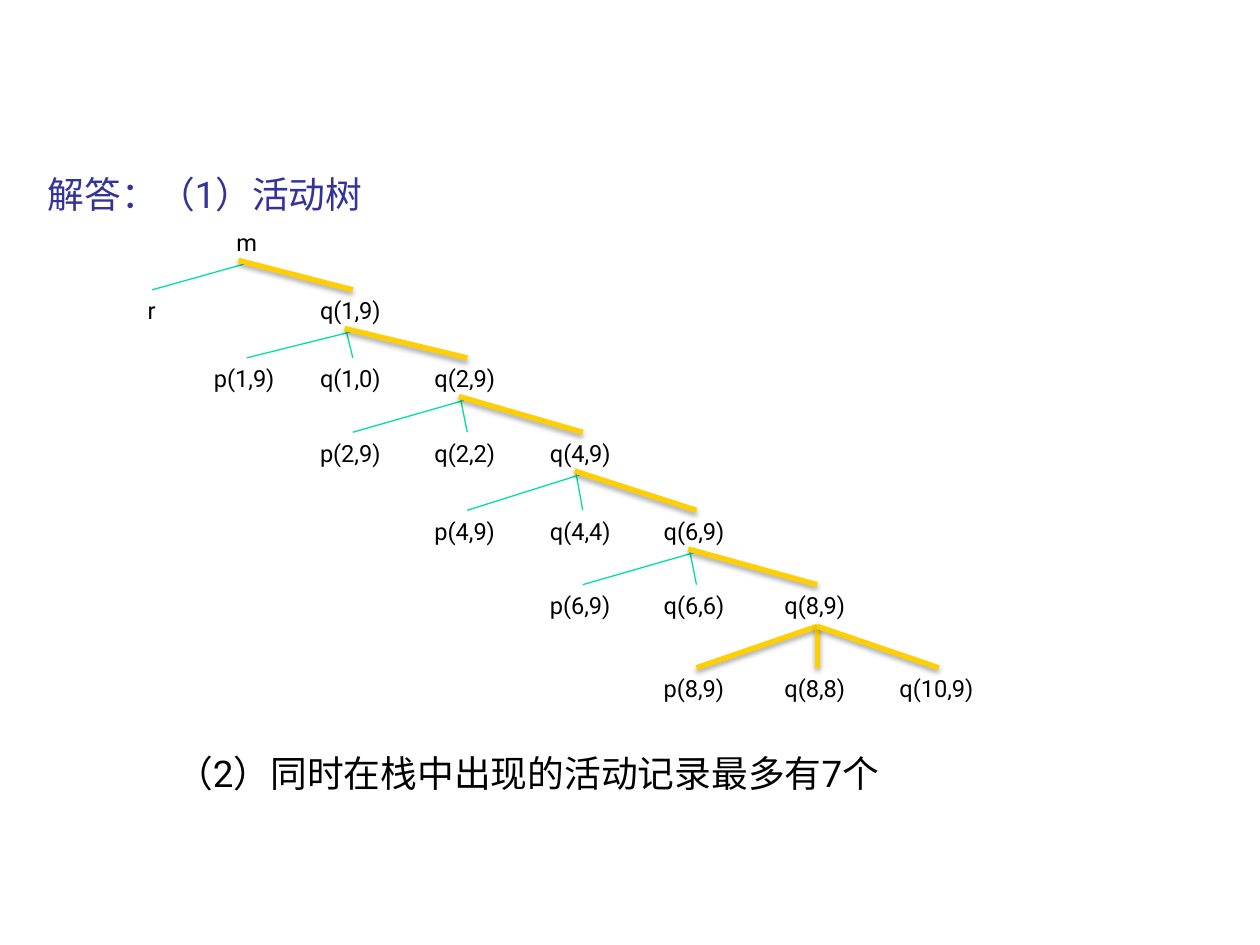
import pptx
import pptx.util
import pptx.dml.color
import pptx.enum.shapes
import pptx.enum.text
import pptx.oxml

Pt = pptx.util.Pt
RGB = pptx.dml.color.RGBColor
Anchor = pptx.enum.text.MSO_ANCHOR
Fit = pptx.enum.text.MSO_AUTO_SIZE

BLACK = RGB(0x00, 0x00, 0x00)
NAVY = RGB(0x33, 0x33, 0x99)
GREEN = RGB(0x00, 0xDF, 0xA4)
GOLD = RGB(0xFF, 0xCF, 0x01)

SHADOW = (
    '<a:outerShdw blurRad="39400" dist="22900" dir="5400000" rotWithShape="0">'
    '<a:srgbClr val="000000"><a:alpha val="35000"/></a:srgbClr></a:outerShdw>'
)
EFFECT = (
    '<a:effectLst xmlns:a="http://schemas.openxmlformats.org/drawingml/2006/main">'
    '{}</a:effectLst>'
)

COLS = [87, 141, 201.6, 267, 333, 398, 467, 536.4]
ROWS = [126.7, 165.6, 204.5, 247, 291.6, 334.1, 381.6]
HIGH = 23.8
WIDE = 51.6
WIDTHS = {"m": 26, "r": 19.4, "q(10,9)": 59}

LEVELS = [
    [("m", 1)],
    [("r", 0), ("q(1,9)", 2)],
    [("p(1,9)", 1), ("q(1,0)", 2), ("q(2,9)", 3)],
    [("p(2,9)", 2), ("q(2,2)", 3), ("q(4,9)", 4)],
    [("p(4,9)", 3), ("q(4,4)", 4), ("q(6,9)", 5)],
    [("p(6,9)", 4), ("q(6,6)", 5), ("q(8,9)", 6)],
    [("p(8,9)", 5), ("q(8,8)", 6), ("q(10,9)", 7)],
]


class Canvas:
    face = "Roboto"

    def __init__(self, slide):
        self.slide = slide

    def text(self, words, left, top, width, height, size=13.5, color=BLACK,
             wrap=False, anchor=Anchor.TOP, fit=Fit.SHAPE_TO_FIT_TEXT):
        box = self.slide.shapes.add_textbox(Pt(left), Pt(top), Pt(width), Pt(height))
        frame = box.text_frame
        frame.word_wrap = wrap
        frame.auto_size = fit
        frame.vertical_anchor = anchor
        para = frame.paragraphs[0]
        para.text = words
        para.font.name = self.face
        para.font.size = Pt(size)
        para.font.color.rgb = color
        return box

    def node(self, words, col, row):
        width = WIDTHS.get(words, WIDE)
        return self.text(words, COLS[col] - width / 2, ROWS[row], width, HIGH)

    def edge(self, top, child, gold, shift):
        start = top.left + top.width // 2 + Pt(shift[0])
        line = self.slide.shapes.add_connector(
            pptx.enum.shapes.MSO_CONNECTOR.STRAIGHT,
            start, top.top + top.height + Pt(shift[1]),
            child.left + child.width // 2, child.top)
        if shift == (0, 0):
            line.begin_connect(top, 2)
        line.end_connect(child, 0)
        line.line.color.rgb = GOLD if gold else GREEN
        line.line.width = Pt(3 if gold else 0.75)
        effect = EFFECT.format(SHADOW if gold else "")
        line._element.spPr.append(pptx.oxml.parse_xml(effect))


def main():
    deck = pptx.Presentation()
    deck.slide_width, deck.slide_height = Pt(720), Pt(540)
    art = Canvas(deck.slides.add_slide(deck.slide_layouts[6]))

    art.text("解答：（1）活动树", 20.2, 80.6, 214.6, 46.1, 21, NAVY,
             anchor=Anchor.BOTTOM, fit=Fit.NONE)
    tree = [[art.node(words, col, row) for words, col in level]
            for row, level in enumerate(LEVELS)]

    thin, thick = [], []
    for depth, kids in enumerate(tree[1:], 1):
        top = tree[depth - 1][-1]
        final = depth == len(tree) - 1
        for spot, child in enumerate(kids):
            gold = final or child is kids[-1]
            shift = (0, 0)
            if spot and not final:
                shift = (-4.7, -1.7) if gold else (-4, -1.3)
            (thick if gold else thin).append((top, child, gold, shift))
    for edge in thin + thick:
        art.edge(*edge)

    art.text("（2）同时在栈中出现的活动记录最多有7个", 93.6, 425.5, 592.6, 58.3, 21,
             wrap=True)
    deck.save("out.pptx")


if __name__ == "__main__":
    main()
